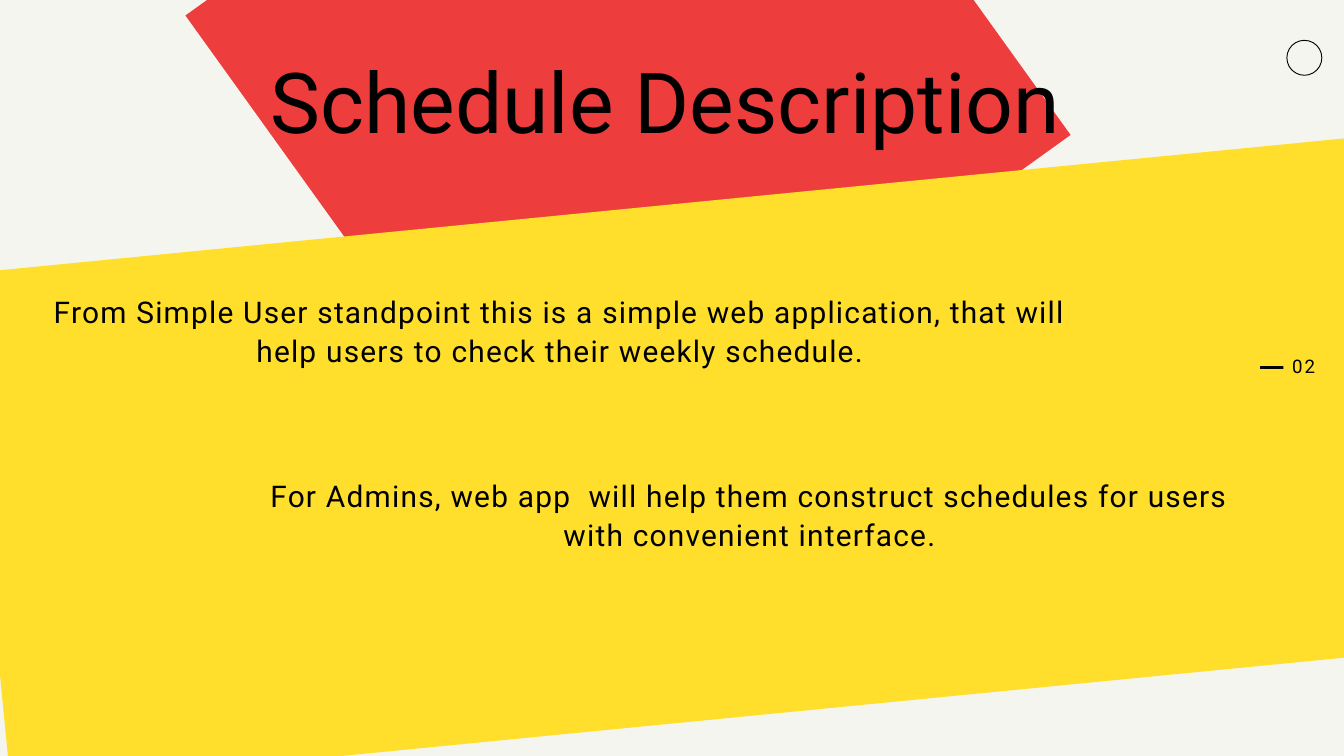
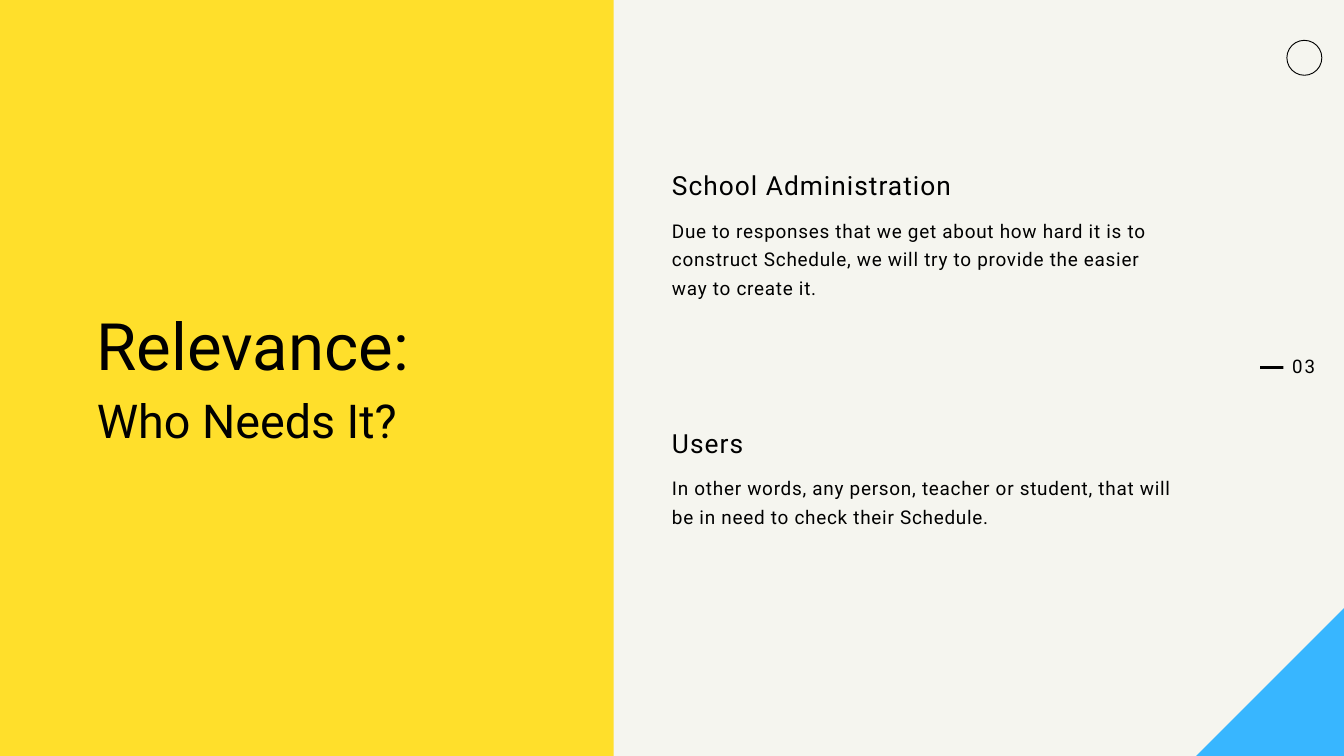
"""Build two slides on a schedule app: its description and its relevance."""
from pptx import Presentation
from pptx.dml.color import RGBColor
from pptx.enum.shapes import MSO_SHAPE
from pptx.enum.text import PP_ALIGN
from pptx.util import Inches, Pt

FONT = "Roboto"
BLACK, PAPER, YELLOW = "000000", "F5F5EF", "FFDF2B"
RED, BLUE = "ED3D3D", "38B6FF"
LEFT, MID, RIGHT = PP_ALIGN.LEFT, PP_ALIGN.CENTER, PP_ALIGN.RIGHT
ink = RGBColor.from_string

deck = Presentation()
deck.slide_width, deck.slide_height = Inches(20), Inches(11.25)
cell = deck.slide_width // 20


def block(slide, grid, fill, turn=0):
    """Draw a plain rectangle at the given grid cells, turned by degrees."""
    shape = slide.shapes.add_shape(MSO_SHAPE.RECTANGLE, *[int(n * cell) for n in grid])
    shape.shadow.inherit = False
    shape.fill.solid()
    shape.fill.fore_color.rgb = ink(fill)
    shape.line.fill.background()
    shape.rotation = turn


def write(slide, grid, text, size, lead, space=0, align=LEFT):
    """Write one paragraph with exact line height and letter spacing."""
    frame = slide.shapes.add_textbox(*[int(n * cell) for n in grid]).text_frame
    frame.word_wrap = True
    frame.margin_left = frame.margin_right = frame.margin_top = frame.margin_bottom = 0
    para = frame.paragraphs[0]
    para.alignment, para.line_spacing = align, Pt(lead)
    para.font.name, para.font.size = FONT, Pt(size)
    para.font.color.rgb = ink(BLACK)
    run = para.add_run()
    run.text = text
    run._r.get_or_add_rPr().set("spc", str(round(space * 100)))


about, needs = [deck.slides.add_slide(deck.slide_layouts[6]) for _ in range(2)]
for slide, back in ((about, PAPER), (needs, YELLOW)):
    slide.background.fill.solid()
    slide.background.fill.fore_color.rgb = ink(back)

block(about, (4.78, -3.71, 9.13, 9.66), RED, 54.3)
write(about, (3.87, 0.86, 12.07, 1.41), "Schedule Description", 90, 99, align=MID)
block(about, (-0.26, 3.04, 20.91, 7.69), YELLOW, 354.4)
claims = (
    (0.74, 4.33, "From Simple User standpoint this is a simple web application, "
                 "that will help users to check their weekly schedule."),
    (3.56, 7.07, "For Admins, web app  will help them construct schedules for users "
                 "with convenient interface."),
)
for left, top, text in claims:
    write(about, (left, top, 15.19, 1.14), text, 32, 41.6, 1.3, MID)

block(needs, (9.13, -0.17, 10.97, 11.62), PAPER)
write(needs, (1.44, 4.64, 5.66, 1.09), "Relevance:", 70, 77)
write(needs, (1.44, 5.9, 5.01, 0.77), "Who Needs It?", 50, 55)
groups = (
    (2.48, 1.22, "School Administration",
     "Due to responses that we get about how hard it is to construct Schedule, "
     "we will try to provide the easier way to create it."),
    (6.31, 0.8, "Users",
     "In other words, any person, teacher or student, that will be in need "
     "to check their Schedule."),
)
for top, height, head, text in groups:
    write(needs, (10, top, 4.86, 0.49), head, 28.2, 36.7, 1.1)
    write(needs, (10, top + 0.7, 7.54, height), text, 20.3, 30.5, 0.8)
block(needs, (18.68, 8.76, 1.76, 3.95), BLUE, 45)

for page, slide in enumerate((about, needs), 2):
    ring = slide.shapes.add_shape(
        MSO_SHAPE.OVAL, *[int(n * cell) for n in (19.15, 0.6, 0.52, 0.52)])
    ring.shadow.inherit = False
    ring.fill.background()
    ring.line.color.rgb, ring.line.width = ink(BLACK), Pt(1)
    block(slide, (18.75, 5.45, 0.35, 0.04), BLACK)
    write(slide, (19.07, 5.28, 0.5, 0.34), f"{page:02}", 20, 24, 2, RIGHT)

deck.save("out.pptx")
